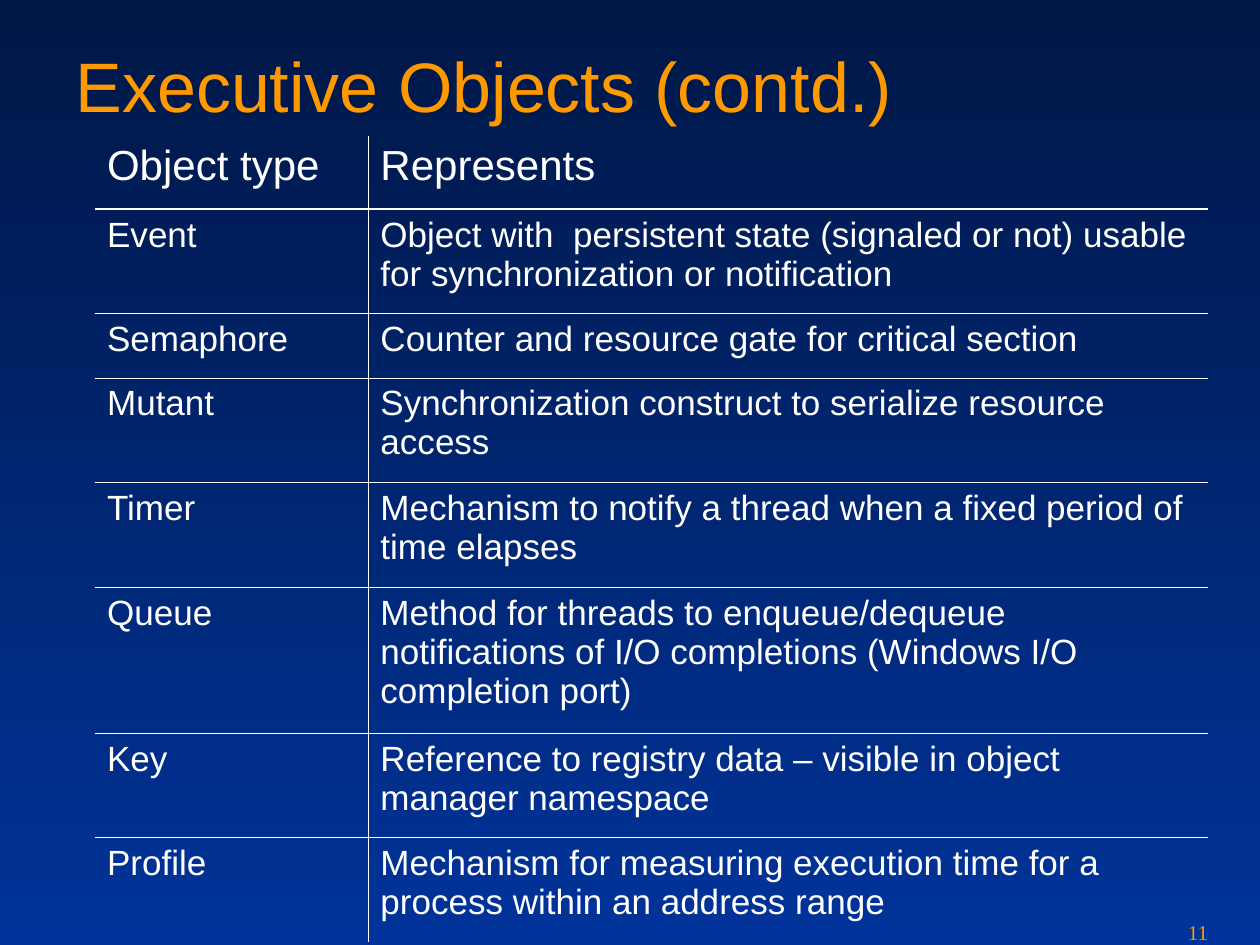
import pptx
import pptx.dml.color
import pptx.enum.text
import pptx.oxml
import pptx.oxml.ns
import pptx.util

Inches = pptx.util.Inches
Pt = pptx.util.Pt
RGBColor = pptx.dml.color.RGBColor

NIGHT = RGBColor(0x00, 0x17, 0x46)
BLUE = RGBColor(0x00, 0x33, 0x99)
ORANGE = RGBColor(0xFE, 0x99, 0x00)
WHITE = RGBColor(0xFF, 0xFF, 0xFF)

THIN, THICK = 0.45, 1.47
COLUMN_WIDTHS = [2.17, 6.67]
ROW_HEIGHTS = [0.58, 0.83, 0.51, 0.83, 0.83, 1.16, 0.83, 0.83]
OBJECTS = [
    ("Object type", "Represents"),
    ("Event", "Object with  persistent state (signaled or not) usable "
              "for synchronization or notification"),
    ("Semaphore", "Counter and resource gate for critical section"),
    ("Mutant", "Synchronization construct to serialize resource access"),
    ("Timer", "Mechanism to notify a thread when a fixed period of time elapses"),
    ("Queue", "Method for threads to enqueue/dequeue notifications of I/O "
              "completions (Windows I/O completion port)"),
    ("Key", "Reference to registry data – visible in object manager namespace"),
    ("Profile", "Mechanism for measuring execution time for a process "
                "within an address range"),
]


class SlideBuilder:
    def __init__(self, prs):
        self.s = prs.slides.add_slide(prs.slide_layouts[5])

    def background(self, top, bottom):
        fill = self.s.background.fill
        fill.gradient()
        fill.gradient_angle = 270
        for stop, color, position in zip(fill.gradient_stops, (top, bottom), (0, 1)):
            stop.color.rgb = color
            stop.position = position

    def set_text(self, tf, text, size, color, font="Arial"):
        tf.text = text
        p = tf.paragraphs[0]
        p.alignment = pptx.enum.text.PP_ALIGN.LEFT
        p.font.name = font
        p.font.size = Pt(size)
        p.font.color.rgb = color
        return p

    def title(self, text, left, top, width, height):
        sp = self.s.shapes.title
        sp.left, sp.top = Inches(left), Inches(top)
        sp.width, sp.height = Inches(width), Inches(height)
        tf = sp.text_frame
        tf.auto_size = pptx.enum.text.MSO_AUTO_SIZE.NONE
        tf.vertical_anchor = pptx.enum.text.MSO_ANCHOR.TOP
        tf.margin_top = Inches(0.1)
        self.set_text(tf, text, 40, ORANGE)

    def text(self, text, left, top, width, height, size, color, font):
        sp = self.s.shapes.add_textbox(
            Inches(left), Inches(top), Inches(width), Inches(height))
        sp.text_frame.word_wrap = True
        self.set_text(sp.text_frame, text, size, color, font)

    def borders(self, cell, widths):
        tcPr = cell._tc.get_or_add_tcPr()
        for side in "LRTB":
            width = widths.get(side)
            paint = (f'<a:solidFill><a:srgbClr val="{WHITE}"/></a:solidFill>'
                     if width else "<a:noFill/>")
            tcPr.append(pptx.oxml.parse_xml(
                f'<a:ln{side} {pptx.oxml.ns.nsdecls("a")} w="{int(Pt(width or 0))}">'
                f"{paint}</a:ln{side}>"))

    def table(self, rows, left, top, widths, heights):
        table = self.s.shapes.add_table(
            len(rows), len(widths), Inches(left), Inches(top),
            Inches(sum(widths)), Inches(sum(heights))).table
        table.first_row = table.horz_banding = False
        for column, width in zip(table.columns, widths):
            column.width = Inches(width)
        for i, (row, height) in enumerate(zip(rows, heights)):
            table.rows[i].height = Inches(height)
            size = 24 if i == 0 else 20
            for j, text in enumerate(row):
                cell = table.cell(i, j)
                p = self.set_text(cell.text_frame, text, size, WHITE)
                p.space_after = Pt(size / 4)
                lines = {"R" if j == 0 else "L": THIN}
                if i > 0:
                    lines["T"] = THICK if i == 1 else THIN
                if i < len(rows) - 1:
                    lines["B"] = THICK if i == 0 else THIN
                self.borders(cell, lines)
                cell.fill.background()


def main():
    prs = pptx.Presentation()
    prs.slide_width, prs.slide_height = Inches(10), Inches(7.5)
    slide = SlideBuilder(prs)
    slide.background(NIGHT, BLUE)
    slide.title("Executive Objects (contd.)", 0.5, 0.24, 9, 1.25)
    slide.table(OBJECTS, 0.75, 1.08, COLUMN_WIDTHS, ROW_HEIGHTS)
    slide.text("11", 9.33, 7.25, 0.67, 0.25, 12, ORANGE, "Times New Roman")
    prs.save("out.pptx")


if __name__ == "__main__":
    main()
